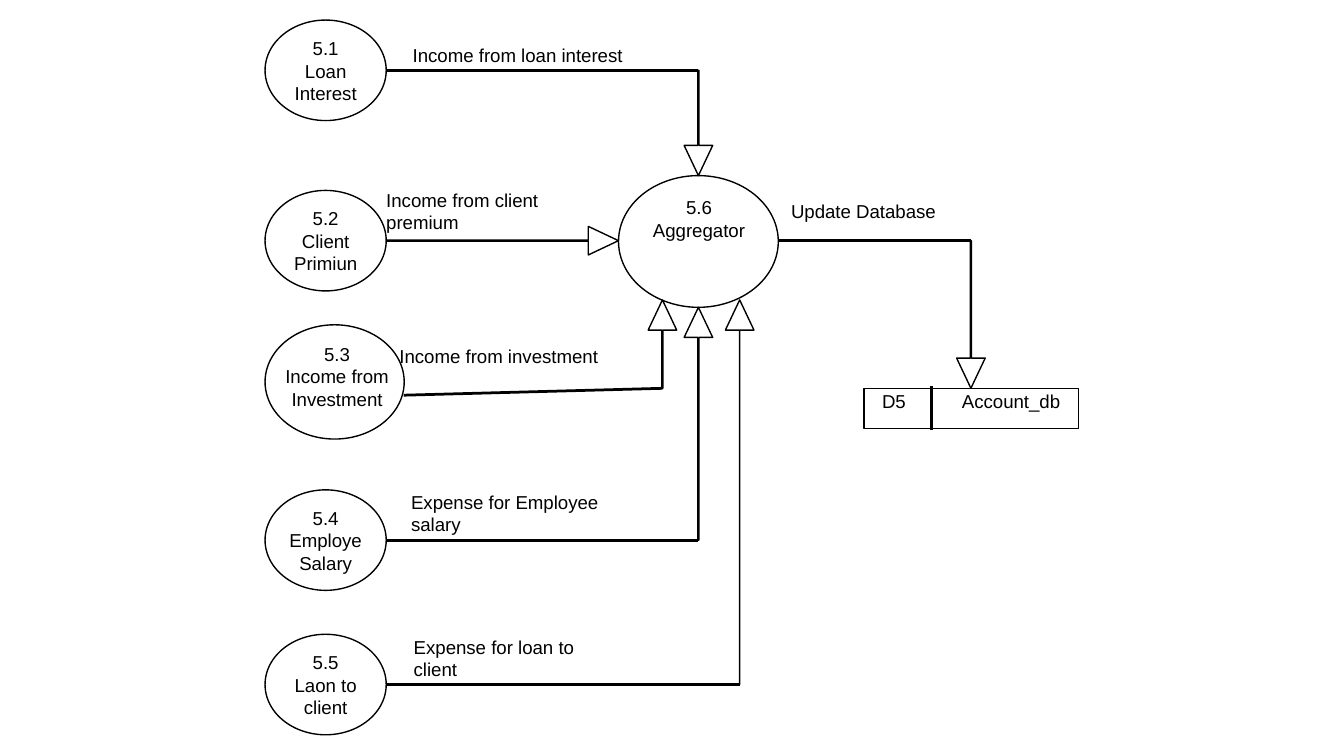
from typing import NamedTuple

from lxml import etree
from pptx import Presentation
from pptx import util as u
from pptx.dml.color import RGBColor
from pptx.enum import shapes, text
from pptx.oxml import ns

BLACK = RGBColor(0x00, 0x00, 0x00)
WHITE = RGBColor(0xFF, 0xFF, 0xFF)
THIN, THICK = u.Pt(0.75), u.Pt(1.47)
FONT = {"name": "Arial", "size": u.Pt(10)}
FRAME = {"margin_left": 0, "margin_right": 0, "margin_top": 0, "margin_bottom": 0,
         "word_wrap": True, "auto_size": text.MSO_AUTO_SIZE.NONE}
HEAD_LENGTH, HEAD_HALF = 0.57, 0.27


# All lengths below are in centimetres
class Box(NamedTuple):
    left: float
    top: float
    width: float
    height: float

    def emu(self) -> list:
        return [u.Cm(length) for length in self]


class Process(NamedTuple):
    number: str
    title: str
    oval: Box
    caption: Box


class Arrow(NamedTuple):
    tail: tuple
    tip: tuple
    shaft: float = 0.02


class Flow(NamedTuple):
    start: tuple
    end: tuple


class Label(NamedTuple):
    wording: str
    box: Box


def style(shape) -> None:
    shape.shadow.inherit = False
    shape.fill.solid()
    shape.fill.fore_color.rgb = WHITE
    shape.line.color.rgb = BLACK
    shape.line.width = THIN


def add_text(slide, lines: list, box: Box, align=text.PP_ALIGN.LEFT,
             anchor=text.MSO_ANCHOR.TOP):
    frame = slide.shapes.add_textbox(*box.emu()).text_frame
    for name, value in FRAME.items():
        setattr(frame, name, value)
    frame.vertical_anchor = anchor
    frame.text = "\n".join(lines)
    for paragraph in frame.paragraphs:
        paragraph.alignment = align
        for name, value in FONT.items():
            setattr(paragraph.font, name, value)
        paragraph.font.color.rgb = BLACK
    return frame


def add_process(slide, process: Process) -> None:
    style(slide.shapes.add_shape(shapes.MSO_SHAPE.OVAL, *process.oval.emu()))
    add_text(slide, [process.number, process.title], process.caption,
             text.PP_ALIGN.CENTER, text.MSO_ANCHOR.MIDDLE)


def add_arrow(slide, arrow: Arrow) -> None:
    """Outlined block arrow, horizontal or vertical."""
    (x0, y0), (x1, y1) = arrow.tail, arrow.tip
    length = abs(x1 - x0) + abs(y1 - y0)
    dx, dy = (x1 - x0) / length, (y1 - y0) / length
    neck, half = length - HEAD_LENGTH, arrow.shaft / 2
    profile = [(length, 0), (neck, HEAD_HALF), (neck, half), (0, half),
               (0, -half), (neck, -half), (neck, -HEAD_HALF)]
    points = [(u.Cm(x0 + along * dx - across * dy), u.Cm(y0 + along * dy + across * dx))
              for along, across in profile]
    builder = slide.shapes.build_freeform(*points[0])
    builder.add_line_segments(points[1:], close=True)
    style(builder.convert_to_shape())


def add_flow(slide, flow: Flow) -> None:
    ends = [u.Cm(length) for length in flow.start + flow.end]
    line = slide.shapes.add_connector(shapes.MSO_CONNECTOR.STRAIGHT, *ends)
    line.line.color.rgb = BLACK
    line.line.width = THICK
    etree.SubElement(line.element.spPr, ns.qn("a:effectLst"))


def small_process(number: str, title: str, middle: float) -> Process:
    return Process(number, title, Box(5.01, middle - 0.95, 2.29, 1.9),
                   Box(5.33, middle - 0.63, 1.65, 1.27))


# Rows of the left-hand processes and columns of the arrows
LOAN, PREMIUM, SALARY, CLIENT = 1.33, 4.55, 10.21, 12.94
PROCESS_RIGHT, STORE_TOP = 7.3, 7.34
INVESTMENT_X, CENTRE_X, CLIENT_X, STORE_X = 12.52, 13.2, 13.98, 18.35

PROCESSES = [
    small_process("5.1", "Loan Interest", LOAN),
    small_process("5.2", "Client Primiun", PREMIUM),
    Process("5.3", "Income from Investment", Box(5.01, 6.14, 2.63, 2.16),
            Box(5.33, 6.48, 2.08, 1.27)),
    Process("5.6", "Aggregator", Box(11.69, 3.32, 3.02, 2.49),
            Box(12.12, 3.71, 2.18, 0.84)),
    small_process("5.4", "Employe Salary", SALARY),
    small_process("5.5", "Laon to client", CLIENT),
]
ARROWS = [
    Arrow((PROCESS_RIGHT, PREMIUM), (11.69, PREMIUM)),
    Arrow((INVESTMENT_X, STORE_TOP), (INVESTMENT_X, 5.67)),
    Arrow((CENTRE_X, LOAN), (CENTRE_X, 3.32)),
    Arrow((STORE_X, PREMIUM), (STORE_X, STORE_TOP)),
    Arrow((CENTRE_X, SALARY), (CENTRE_X, 5.81)),
    Arrow((CLIENT_X, CLIENT), (CLIENT_X, 5.67), 0),
]
FLOWS = [
    Flow((7.63, 7.47), (INVESTMENT_X, STORE_TOP)),
    Flow((PROCESS_RIGHT, LOAN), (CENTRE_X, LOAN)),
    Flow((17.6, 7.3), (17.6, 8.12)),
    Flow((14.71, PREMIUM), (STORE_X, PREMIUM)),
    Flow((PROCESS_RIGHT, SALARY), (CENTRE_X, SALARY)),
    Flow((PROCESS_RIGHT, CLIENT), (CLIENT_X, CLIENT)),
]
LABELS = [
    Label("Income from loan interest", Box(7.8, 0.82, 5.77, 0.42)),
    Label("Income from client premium", Box(7.3, 3.57, 3.91, 0.84)),
    Label("Income from investment", Box(7.55, 6.51, 3.91, 0.42)),
    Label("Expense for Employee salary", Box(7.77, 9.27, 3.91, 0.84)),
    Label("Expense for loan to client", Box(7.82, 12.02, 3.91, 0.84)),
    Label("Update Database", Box(14.95, 3.77, 3.91, 0.42)),
]


def add_data_store(slide) -> None:
    store = Box(16.33, STORE_TOP, 4.06, 0.76)
    style(slide.shapes.add_shape(shapes.MSO_SHAPE.RECTANGLE, *store.emu()))
    frame = add_text(slide, ["D5\tAccount_db"], Box(16.67, 7.37, 3.7, 0.42),
                     anchor=text.MSO_ANCHOR.MIDDLE)
    # Tab stop that starts the store name in the second cell
    properties = frame.paragraphs[0]._p.get_or_add_pPr()
    tabs = etree.Element(ns.qn("a:tabLst"))
    etree.SubElement(tabs, ns.qn("a:tab"), pos=str(u.Cm(1.51)), algn="l")
    properties.insert(0, tabs)


def main() -> None:
    deck = Presentation()
    deck.slide_width, deck.slide_height = u.Cm(25.4), u.Cm(14.29)
    slide = deck.slides.add_slide(deck.slide_layouts[6])

    add_data_store(slide)
    for process in PROCESSES:
        add_process(slide, process)
    for arrow in ARROWS:
        add_arrow(slide, arrow)
    for flow in FLOWS:
        add_flow(slide, flow)
    for label in LABELS:
        add_text(slide, [label.wording], label.box)

    deck.save("out.pptx")


if __name__ == "__main__":
    main()
